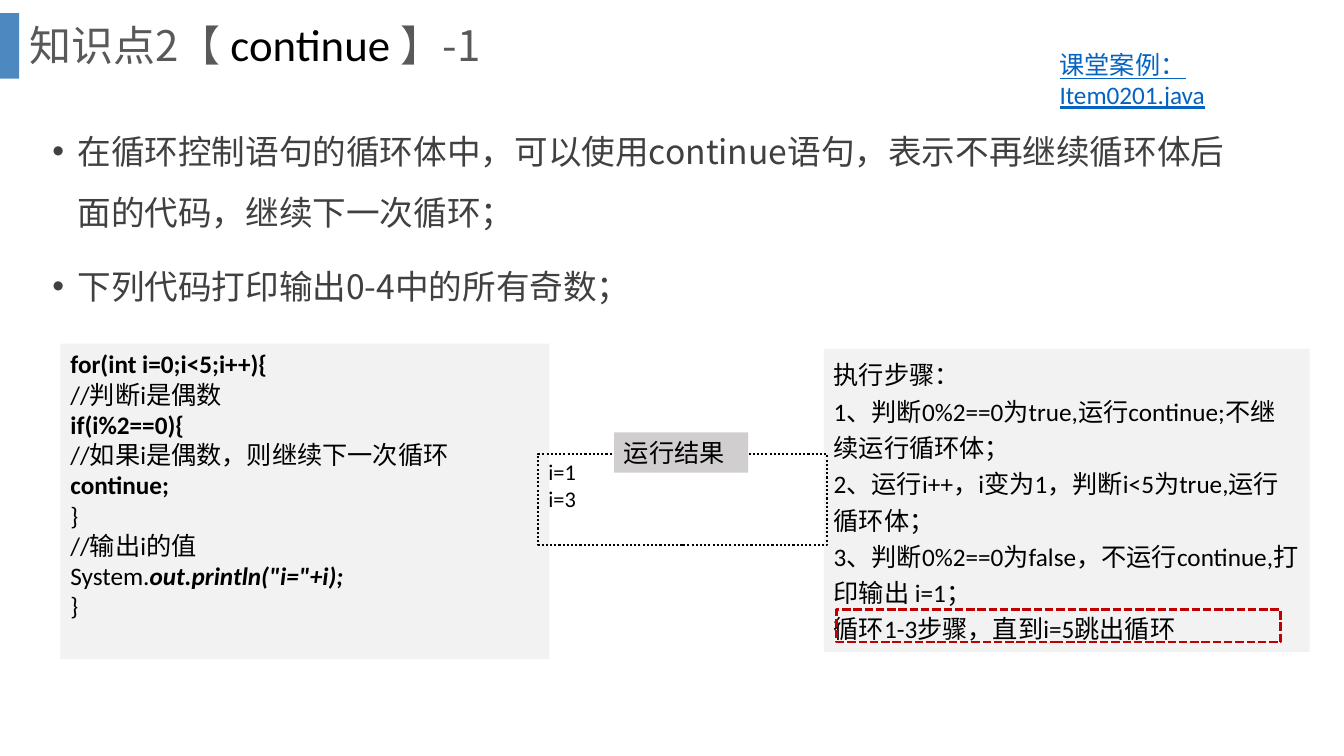
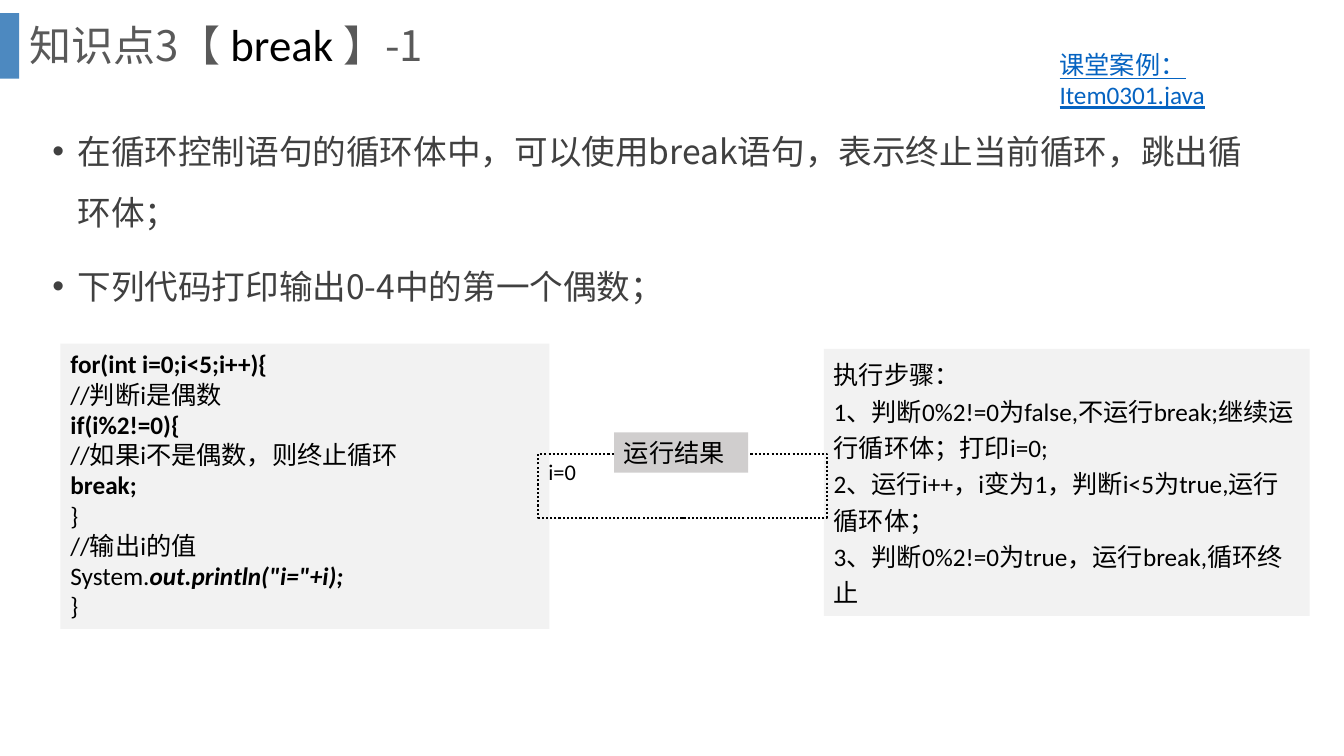
"""Build two lesson slides on the Java continue and break statements."""
from lxml import etree
from pptx import Presentation
from pptx.dml.color import RGBColor
from pptx.enum.dml import MSO_LINE
from pptx.enum.shapes import MSO_SHAPE
from pptx.enum.text import MSO_ANCHOR, PP_ALIGN
from pptx.oxml.ns import qn
from pptx.util import Inches, Pt

RECTANGLE = MSO_SHAPE.RECTANGLE
DOTTED, DASHED = MSO_LINE.ROUND_DOT, MSO_LINE.SQUARE_DOT
TOP, MIDDLE = MSO_ANCHOR.TOP, MSO_ANCHOR.MIDDLE
LEFT = PP_ALIGN.LEFT

LATIN, CHINESE = "Calibri", "Noto Sans CJK SC"
COLORS = {
    "accent": "2E75B6", "title": "595959", "body": "404040", "code": "000000",
    "panel": "F2F2F2", "label": "D0CECE", "highlight": "C00000", "link": "0563C1",
}

LESSONS = [
    {
        "number": 2,
        "keyword": "continue",
        "example": "Item0201.java",
        "points": [
            "在循环控制语句的循环体中，可以使用continue语句，表示不再继续循环体后面的代码，继续下一次循环；",
            "下列代码打印输出0-4中的所有奇数；",
        ],
        "condition": "i%2==0",
        "remark": "//如果i是偶数，则继续下一次循环",
        "code_height": 3.13,
        "steps": [
            "执行步骤：",
            "1、判断0%2==0为true,运行continue;不继续运行循环体；",
            "2、运行i++，i变为1，判断i<5为true,运行循环体；",
            "3、判断0%2==0为false，不运行continue,打印输出 i=1；",
            "循环1-3步骤，直到i=5跳出循环",
        ],
        "steps_height": 3.01,
        "highlight": (8.3, 6.05, 4.4, 0.32),
        "output": ["i=1", "i=3"],
        "output_height": 0.91,
    },
    {
        "number": 3,
        "keyword": "break",
        "example": "Item0301.java",
        "points": [
            "在循环控制语句的循环体中，可以使用break语句，表示终止当前循环，跳出循环体；",
            "下列代码打印输出0-4中的第一个偶数；",
        ],
        "condition": "i%2!=0",
        "remark": "//如果i不是偶数，则终止循环",
        "code_height": 2.83,
        "steps": [
            "执行步骤：",
            "1、判断0%2!=0为false,不运行break;继续运行循环体；打印i=0;",
            "2、运行i++，i变为1，判断i<5为true,运行循环体；",
            "3、判断0%2!=0为true，运行break,循环终止",
        ],
        "steps_height": 2.65,
        "highlight": None,
        "output": ["i=0"],
        "output_height": 0.64,
    },
]


def code_lines(lesson):
    """Return the listing as lines of (text, bold, italic) spans."""
    return [
        [("for(int i=0;i<5;i++){", True, False)],
        [("//判断i是偶数", False, False)],
        [(f"if({lesson['condition']}){{", True, False)],
        [(lesson["remark"], False, False)],
        [(f"{lesson['keyword']};", True, False)],
        [("}", False, False)],
        [("//输出i的值", False, False)],
        [("System.", False, False), ('out.println("i="+i);', True, True)],
        [("}", False, False)],
    ]


def color(name):
    """Look up a palette colour."""
    return RGBColor.from_string(COLORS[name])


def add_box(page, area, fill=None, line=None, width=1, dash=None):
    """Add a flat rectangle."""
    box = page.shapes.add_shape(RECTANGLE, *map(Inches, area))
    box.shadow.inherit = False
    if fill:
        box.fill.solid()
        box.fill.fore_color.rgb = color(fill)
    else:
        box.fill.background()
    if line:
        box.line.color.rgb = color(line)
        box.line.width = Pt(width)
        box.line.dash_style = dash
    else:
        box.line.fill.background()
    return box


def add_textbox(page, area):
    """Add an empty text box."""
    return page.shapes.add_textbox(*map(Inches, area))


def add_span(para, text, size=18, font=LATIN, ink="code", bold=False, italic=False,
             underline=False):
    """Append one styled run."""
    span = para.add_run()
    span.text = text
    span.font.name = font
    span.font.size = Pt(size)
    span.font.color.rgb = color(ink)
    span.font.bold, span.font.italic = bold, italic
    span.font.underline = underline
    east_asian = etree.Element(qn("a:ea"), typeface=CHINESE)
    span.font._element.find(qn("a:latin")).addnext(east_asian)


def write(box, lines, spacing=1.0, anchor=TOP, **style):
    """Fill a box with one paragraph per line and return the paragraphs."""
    frame = box.text_frame
    frame.word_wrap = True
    frame.vertical_anchor = anchor
    paras = []
    for index, line in enumerate(lines):
        para = frame.add_paragraph() if index else frame.paragraphs[0]
        para.alignment = LEFT
        para.line_spacing = spacing
        if isinstance(line, str):
            add_span(para, line, **style)
        else:
            for text, bold, italic in line:
                add_span(para, text, bold=bold, italic=italic, **style)
        paras.append(para)
    return paras


def add_bullet(para):
    """Give a paragraph a hanging bullet."""
    para.space_before = Pt(10)
    properties = para._p.get_or_add_pPr()
    properties.set("marL", str(Inches(0.25)))
    properties.set("indent", str(-Inches(0.25)))
    etree.SubElement(properties, qn("a:buFont"), typeface="Arial")
    etree.SubElement(properties, qn("a:buChar"), char="•")


def add_header(page, lesson):
    """Draw the accent bar, the title and the example link."""
    bar = add_box(page, (0, 0.13, 0.19, 0.65), fill="accent")
    accent = bar.fill._xPr.find(qn("a:solidFill"))[0]
    etree.SubElement(accent, qn("a:alpha"), val="85000")

    title = add_textbox(page, (0.19, 0, 12.66, 0.93))
    para = write(title, [[]], spacing=0.9, anchor=MIDDLE)[0]
    add_span(para, f"知识点{lesson['number']}【", 30, CHINESE, "title")
    add_span(para, f" {lesson['keyword']} ", 32)
    add_span(para, "】-1", 30, CHINESE, "title")

    example = add_textbox(page, (10.41, 0.44, 2.28, 0.71))
    write(example, [f"课堂案例：{lesson['example']}"], ink="link", underline=True)


def add_lesson(deck, lesson):
    """Lay out one lesson slide."""
    page = deck.slides.add_slide(deck.slide_layouts[6])
    add_header(page, lesson)

    body = add_textbox(page, (0.42, 1.05, 12.05, 1.94))
    for para in write(body, lesson["points"], 1.5, size=24, font=CHINESE, ink="body"):
        add_bullet(para)

    code = add_box(page, (0.6, 3.41, 4.85, lesson["code_height"]), fill="panel")
    write(code, code_lines(lesson))

    steps = add_box(page, (8.17, 3.46, 4.82, lesson["steps_height"]), fill="panel")
    write(steps, lesson["steps"], spacing=1.2)
    if lesson["highlight"]:
        add_box(page, lesson["highlight"], line="highlight", width=2, dash=DASHED)

    output = add_box(page, (5.34, 4.5, 2.86, lesson["output_height"]),
                     line="code", width=1.5, dash=DOTTED)
    write(output, lesson["output"], size=16)
    label = add_box(page, (6.09, 4.29, 1.33, 0.4), fill="label")
    write(label, ["运行结果"])


def main():
    """Create and save the deck."""
    deck = Presentation()
    deck.slide_width, deck.slide_height = Inches(13.33), Inches(7.5)
    for lesson in LESSONS:
        add_lesson(deck, lesson)
    deck.save("out.pptx")


if __name__ == "__main__":
    main()
